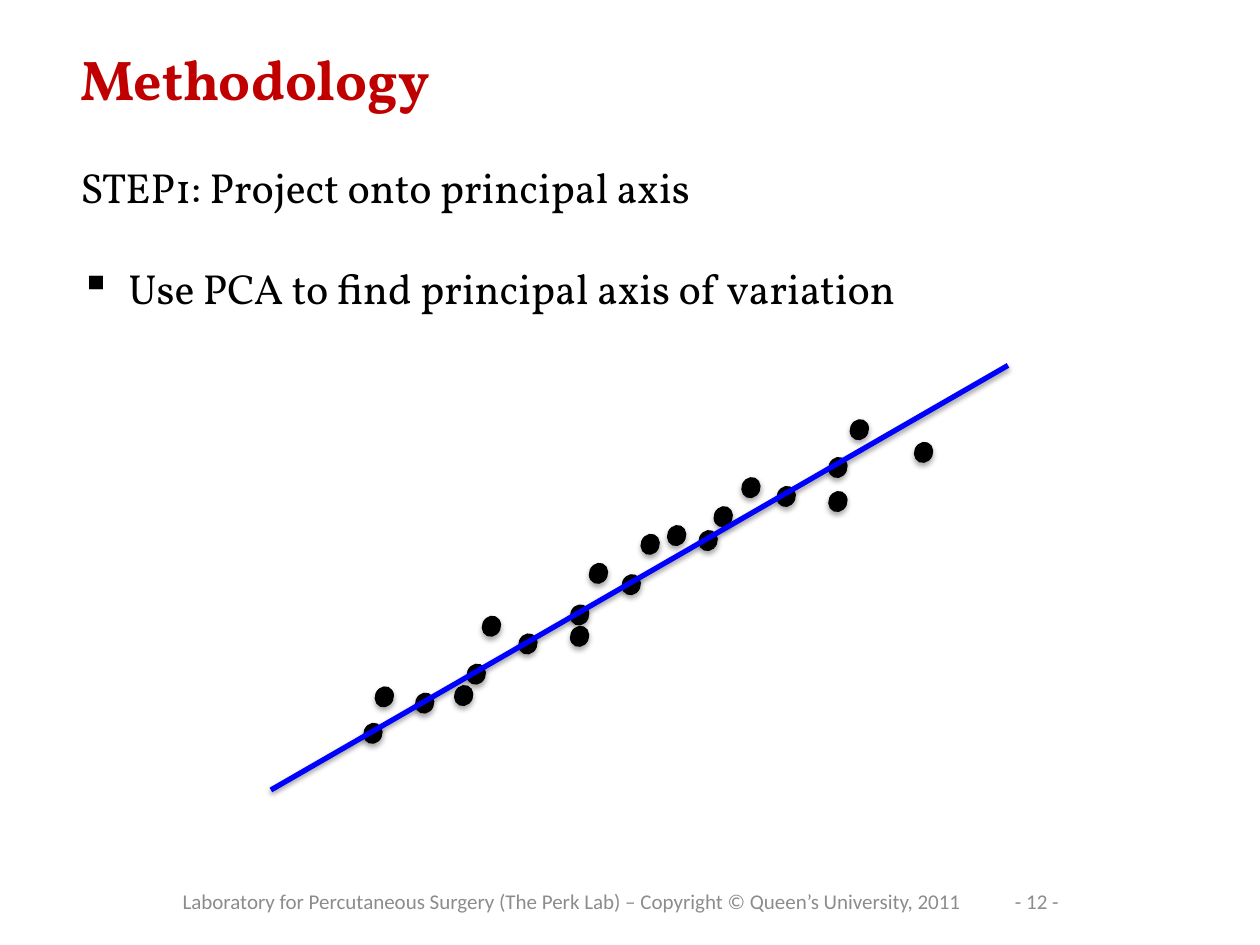
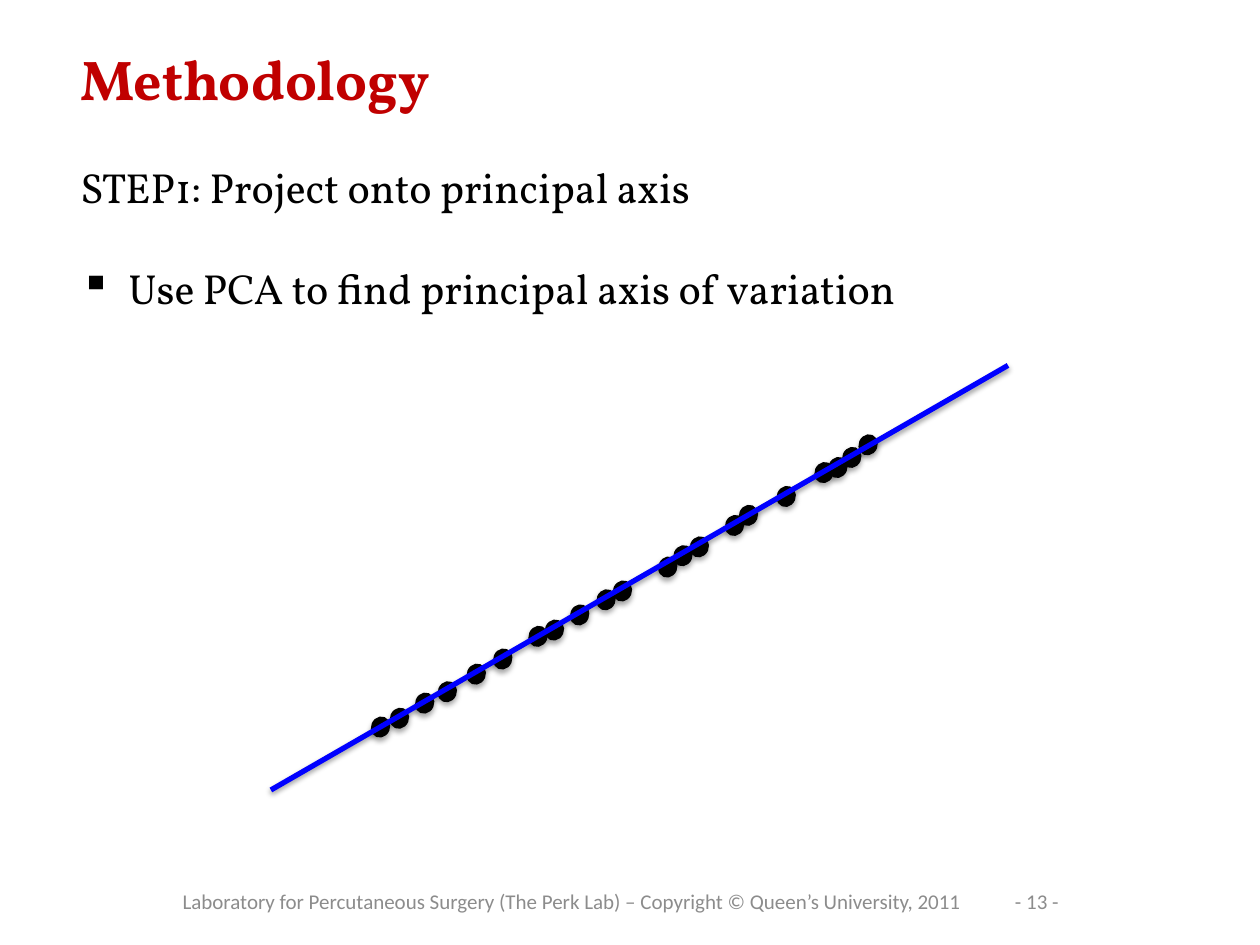
import lxml.etree
import pptx
import pptx.dml.color
import pptx.enum.shapes
import pptx.enum.text
import pptx.oxml.ns
import pptx.util

PX = 9144
SLIDE_SIZE = (1000, 750)
BLACK, RED, BLUE, GREY = "000000", "C00000", "0000FF", "8C8C8C"
HEADING_FONT, FOOTER_FONT = "Vollkorn", "Calibri"
ALIGN = pptx.enum.text.PP_ALIGN

BODY_BOX = (54, 30, 900, 248)
FOOTER_BOX = (125, 695, 725, 40)
PLOT_BOX = (215, 290, 585, 337)
PAGE_NUMBER_WIDTH = 58
BULLET_INDENT = 38
PARAGRAPH_GAP = 28.85
DOT_SIZE = (14, 16)
DOT_ROTATION = 203.1
COPYRIGHT = (
    "Laboratory for Percutaneous Surgery (The Perk Lab) – "
    "Copyright © Queen’s University, 2011"
)

SCATTERED_DOTS = [
    (511, 61), (460, 43), (443, 73), (443, 100), (402, 96), (374, 89), (352, 112),
    (340, 131), (315, 127), (294, 134), (279, 166), (253, 157), (238, 190), (238, 207),
    (197, 213), (168, 199), (156, 237), (146, 254), (115, 260), (83, 255), (74, 284),
]
PROJECTED_DOTS = [
    (467, 55), (454, 65), (443, 73), (432, 77), (402, 96), (372, 111), (361, 119),
    (333, 136), (320, 143), (308, 152), (272, 171), (259, 178), (238, 190), (218, 202),
    (205, 207), (177, 225), (156, 237), (133, 251), (115, 260), (95, 272), (80, 279),
]


def px(*lengths):
    """Turn pixel lengths into EMU."""
    return [pptx.util.Emu(length * PX) for length in lengths]


def color(hex_code):
    """Turn a hex string into a colour."""
    return pptx.dml.color.RGBColor.from_string(hex_code)


def add_child(parent, tag, **attributes):
    """Append a DrawingML element with the given attributes."""
    child = lxml.etree.SubElement(parent, pptx.oxml.ns.qn(f"a:{tag}"))
    for key, value in attributes.items():
        child.set(key, str(value))
    return child


def add_shadow(shape, opacity, distance):
    """Cast a soft black shadow straight down."""
    effects = add_child(shape._element.spPr, "effectLst")
    shadow = add_child(
        effects, "outerShdw", blurRad=int(3.1 * 12700), dist=int(distance * 12700),
        dir=90 * 60000, rotWithShape=0,
    )
    black = add_child(shadow, "srgbClr", val=BLACK)
    add_child(black, "alpha", val=opacity * 1000)


def set_text(paragraph, text, font_name, size, hex_code, bold=False):
    """Write a paragraph in one font."""
    paragraph.text = text
    font = paragraph.font
    font.name, font.size, font.bold = font_name, pptx.util.Pt(size), bold
    font.color.rgb = color(hex_code)


def add_text_frame(slide, box):
    """Add a wrapping text box and return its frame."""
    frame = slide.shapes.add_textbox(*px(*box)).text_frame
    frame.word_wrap = True
    return frame


def add_body(slide, box):
    """Write the title, the step and its bullet."""
    frame = add_text_frame(slide, box)
    title = frame.paragraphs[0]
    set_text(title, "Methodology", HEADING_FONT, 32, RED, bold=True)

    step, finding = frame.add_paragraph(), frame.add_paragraph()
    properties = finding._p.get_or_add_pPr()
    indent = BULLET_INDENT * PX
    properties.set("marL", str(indent))
    properties.set("indent", str(-indent))
    add_child(properties, "buChar", char="▪")
    for paragraph, text in (
        (step, "STEP1: Project onto principal axis"),
        (finding, "Use PCA to find principal axis of variation"),
    ):
        paragraph.space_before = pptx.util.Pt(PARAGRAPH_GAP)
        set_text(paragraph, text, HEADING_FONT, 24, BLACK)


def add_footer(slide, box, page):
    """Write the copyright line with the page number at its right."""
    left, top, width, height = box
    split = width - PAGE_NUMBER_WIDTH - 9
    number_left = left + width - PAGE_NUMBER_WIDTH
    for part_box, text, alignment in (
        ((number_left, top, PAGE_NUMBER_WIDTH, height), f"- {page} -", ALIGN.RIGHT),
        ((left, top, split, height), COPYRIGHT, ALIGN.CENTER),
    ):
        frame = add_text_frame(slide, part_box)
        frame.vertical_anchor = pptx.enum.text.MSO_ANCHOR.MIDDLE
        frame.paragraphs[0].alignment = alignment
        set_text(frame.paragraphs[0], text, FOOTER_FONT, 12, GREY)


def add_plot(shapes, box, dots):
    """Draw the data points and the principal axis over them."""
    left, top, width, height = box
    for x, y in dots:
        dot = shapes.add_shape(
            pptx.enum.shapes.MSO_SHAPE.OVAL, *px(left + x, top + y, *DOT_SIZE)
        )
        dot.rotation = DOT_ROTATION
        dot.fill.solid()
        dot.fill.fore_color.rgb = color(BLACK)
        dot.line.color.rgb = color(BLACK)
        dot.line.width = pptx.util.Pt(0.75)
        add_shadow(dot, opacity=35, distance=1.8)

    axis = shapes.add_connector(
        pptx.enum.shapes.MSO_CONNECTOR.STRAIGHT,
        *px(left, top + height, left + width, top),
    )
    axis.line.color.rgb = color(BLUE)
    axis.line.width = pptx.util.Pt(3)
    add_shadow(axis, opacity=38, distance=1.6)


def add_methodology_slide(presentation, page, dots, grouped):
    """Build one methodology slide around a set of data points."""
    slide = presentation.slides.add_slide(presentation.slide_layouts[6])
    add_body(slide, BODY_BOX)
    add_footer(slide, FOOTER_BOX, page)
    shapes = slide.shapes.add_group_shape().shapes if grouped else slide.shapes
    add_plot(shapes, PLOT_BOX, dots)


def main():
    """Build and save the presentation."""
    presentation = pptx.Presentation()
    presentation.slide_width, presentation.slide_height = px(*SLIDE_SIZE)
    add_methodology_slide(presentation, 12, SCATTERED_DOTS, grouped=False)
    add_methodology_slide(presentation, 13, PROJECTED_DOTS, grouped=True)
    presentation.save("out.pptx")


if __name__ == "__main__":
    main()
